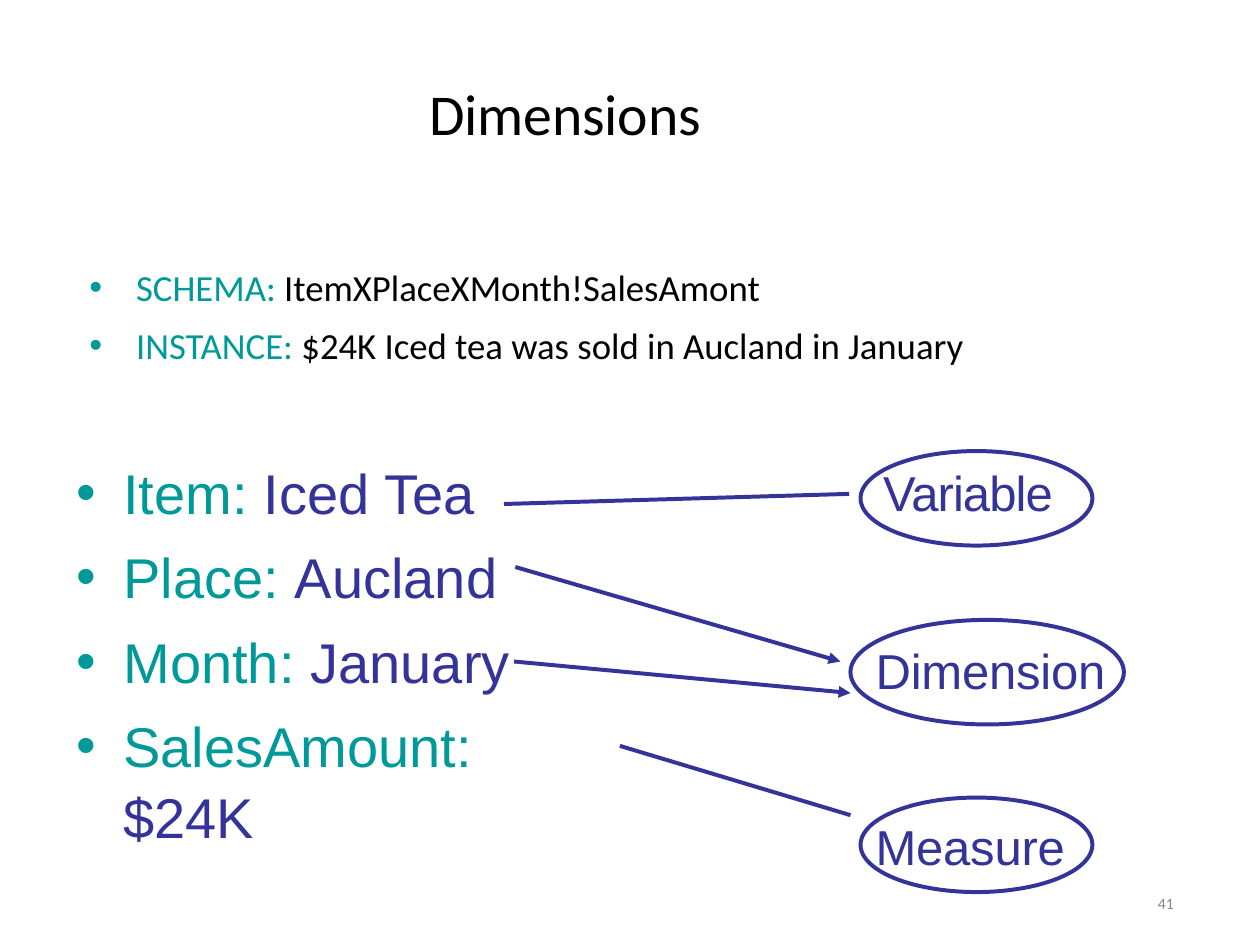
from lxml.etree import SubElement
from pptx import Presentation
from pptx.dml.color import RGBColor
from pptx.enum.shapes import MSO_CONNECTOR, MSO_SHAPE
from pptx.oxml.ns import qn
from pptx.util import Inches, Pt

COLORS = {"ink": "000000", "teal": "009999", "indigo": "333399", "gray": "888888"}
COLS, ROWS = 100, 75


def rgb(name):
    return RGBColor.from_string(COLORS[name])


def add_run(p, text, size=28, font="Arial", color="indigo", spacing=0):
    """Append a formatted run; size and letter spacing are in points."""
    r = p.add_run()
    r.text = text
    r.font.size = Pt(size)
    r.font.name = font
    r.font.color.rgb = rgb(color)
    if spacing:
        r.font._element.set("spc", str(round(spacing * 100)))


class SlideBuilder:
    """Places elements on a grid of COLS by ROWS cells."""

    line_width = Pt(2.28)

    def __init__(self, prs):
        self.s = prs.slides.add_slide(prs.slide_layouts[6])
        self.cell_w = prs.slide_width / COLS
        self.cell_h = prs.slide_height / ROWS

    def grid(self, x, y, *more):
        """Turn alternating column and row counts into slide lengths."""
        return [round(v * (self.cell_h if i % 2 else self.cell_w))
                for i, v in enumerate((x, y, *more))]

    def box(self, x, y, w, h, wrap=False):
        tf = self.s.shapes.add_textbox(*self.grid(x, y, w, h)).text_frame
        tf.margin_left = tf.margin_right = tf.margin_top = tf.margin_bottom = 0
        tf.word_wrap = wrap
        return tf

    def label(self, text, x, y, w, h, **fmt):
        add_run(self.box(x, y, w, h).paragraphs[0], text, **fmt)

    def bullets(self, items, x, y, w, h, value_color, line_spacing=1, **fmt):
        """Add a list of (key, value) items, the key in teal."""
        tf = self.box(x, y, w, h, wrap=True)
        for i, (key, value) in enumerate(items):
            p = tf.add_paragraph() if i else tf.paragraphs[0]
            pPr = p._p.get_or_add_pPr()
            pPr.set("marL", str(Inches(0.39)))
            pPr.set("indent", str(-Inches(0.37)))
            SubElement(pPr, qn("a:buFont"), typeface="Arial")
            SubElement(pPr, qn("a:buChar"), char="•")
            p.line_spacing = line_spacing
            if i:
                p.space_before = Pt(8)
            add_run(p, key + " ", color="teal", **fmt)
            add_run(p, value, color=value_color, **fmt)

    def oval(self, x, y, w, h):
        sp = self.s.shapes.add_shape(MSO_SHAPE.OVAL, *self.grid(x, y, w, h))
        sp.shadow.inherit = False
        sp.fill.background()
        sp.line.color.rgb = rgb("indigo")
        sp.line.width = self.line_width

    def link(self, x1, y1, x2, y2, arrow=False):
        c = self.s.shapes.add_connector(
            MSO_CONNECTOR.STRAIGHT, *self.grid(x1, y1, x2, y2))
        c.line.color.rgb = rgb("indigo")
        c.line.width = self.line_width
        SubElement(c._element.spPr, qn("a:effectLst"))
        if arrow:
            SubElement(c.line._get_or_add_ln(), qn("a:tailEnd"),
                       type="triangle", w="med", len="med")


def main():
    prs = Presentation()
    prs.slide_width, prs.slide_height = Inches(10), Inches(7.5)
    b = SlideBuilder(prs)

    b.label("Dimensions", 34.1, 6.2, 24, 5.6,
            size=33, font="Calibri", color="ink", spacing=-0.1)
    b.bullets([("SCHEMA:", "ItemXPlaceXMonth!SalesAmont"),
               ("INSTANCE:", "$24K Iced tea was sold in Aucland in January")],
              6.9, 21, 73, 8.3, "ink", size=21, font="Calibri")
    b.bullets([("Item:", "Iced Tea"), ("Place:", "Aucland"),
               ("Month:", "January"), ("SalesAmount:", "$24K")],
              5.9, 36.1, 41, 30, "indigo", line_spacing=1.05, size=32)

    b.link(40, 40, 67.4, 39.2)
    b.link(40.9, 45, 66.7, 52.5, arrow=True)
    b.link(40.8, 52.5, 67.5, 55, arrow=True)
    b.link(49.2, 59.2, 67.5, 64.7)

    for text, x, y, w, spacing in (("Variable", 70.1, 36.7, 14, -0.5),
                                   ("Dimension", 69.5, 50.8, 18.6, -0.1),
                                   ("Measure", 69.5, 64.8, 15.4, -0.1)):
        b.label(text, x, y, w, 4.8, spacing=spacing)
    for x, y, w, h in ((68.3, 35.8, 18.4, 7.5),
                       (67.5, 49.2, 21.7, 8.3),
                       (68.3, 63.3, 18.4, 7.5)):
        b.oval(x, y, w, h)

    b.label("41", 91.9, 70.9, 1.8, 1.5, size=9, font="Calibri", color="gray")
    prs.save("out.pptx")


if __name__ == "__main__":
    main()
